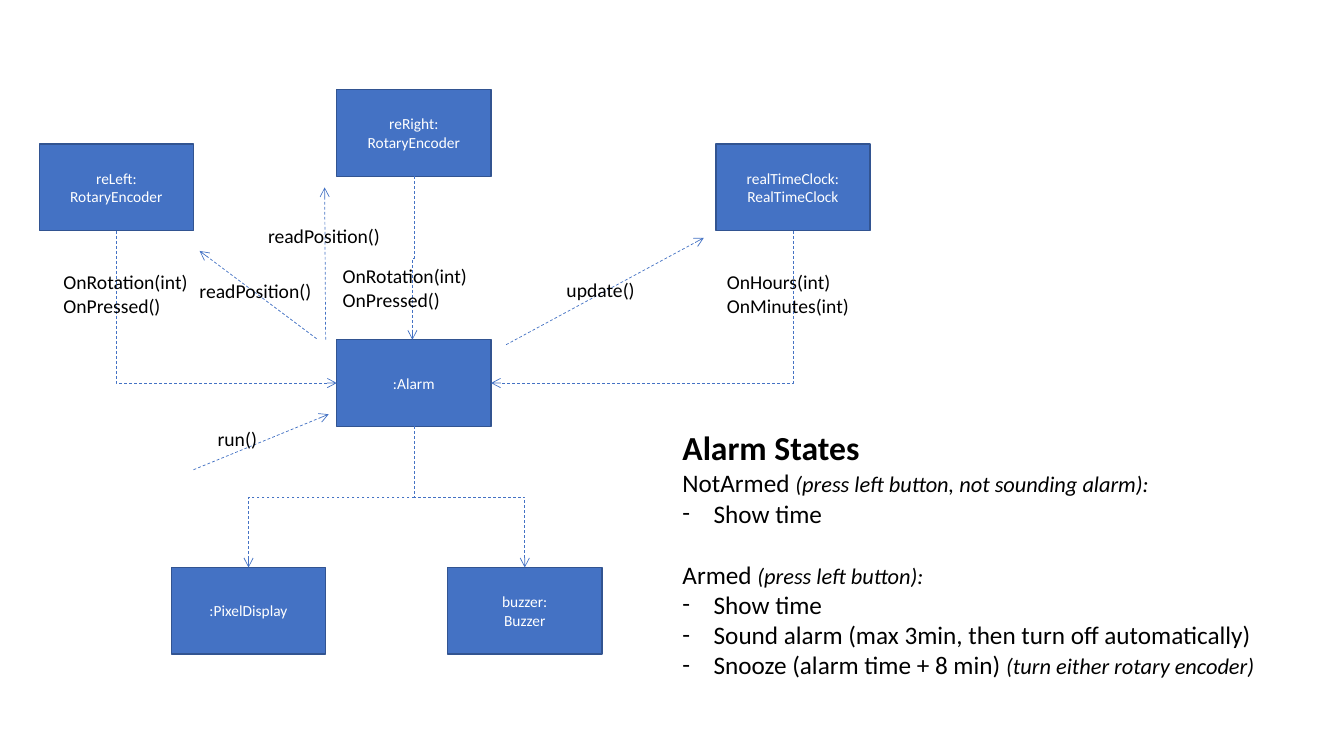
"""Build the alarm clock object diagram with its list of alarm states."""
from dataclasses import dataclass

from lxml import etree
from pptx import Presentation
from pptx.dml.color import RGBColor
from pptx.enum import dml, shapes, text
from pptx.oxml import ns
from pptx.util import Inches, Pt


@dataclass(frozen=True)
class Theme:
    font: str = "Calibri"
    fill: str = "4472C4"
    edge: str = "325491"
    light: str = "FFFFFF"
    dark: str = "000000"
    box_size: int = 11
    label_size: int = 14
    heading_size: int = 24
    body_size: int = 18
    note_size: int = 16


THEME = Theme()
BOX_W, BOX_H = 1.53, 0.86
INDENT = 0.31


def add_run(p, content, size, color=THEME.dark, bold=False, italic=False):
    r = p.add_run()
    r.text = content
    r.font.name = THEME.font
    r.font.size = Pt(size)
    r.font.bold = bold
    r.font.italic = italic
    r.font.color.rgb = RGBColor.from_string(color)


def next_paragraph(tf):
    first = tf.paragraphs[0]
    return tf.add_paragraph() if first.runs else first


def add_box(s, x, y, *lines):
    sp = s.shapes.add_shape(shapes.MSO_SHAPE.RECTANGLE,
                            Inches(x), Inches(y), Inches(BOX_W), Inches(BOX_H))
    sp.shadow.inherit = False
    sp.fill.solid()
    sp.fill.fore_color.rgb = RGBColor.from_string(THEME.fill)
    sp.line.color.rgb = RGBColor.from_string(THEME.edge)
    sp.line.width = Pt(1)
    tf = sp.text_frame
    tf.vertical_anchor = text.MSO_ANCHOR.MIDDLE
    for line in lines:
        p = next_paragraph(tf)
        p.alignment = text.PP_ALIGN.CENTER
        add_run(p, line, THEME.box_size, THEME.light)


def add_text_frame(s, x, y, w, h):
    tf = s.shapes.add_textbox(Inches(x), Inches(y), Inches(w), Inches(h)).text_frame
    tf.word_wrap = True
    tf.auto_size = text.MSO_AUTO_SIZE.SHAPE_TO_FIT_TEXT
    return tf


def add_label(s, x, y, *lines):
    tf = add_text_frame(s, x, y, 1.91, 0.11 + 0.23 * len(lines))
    for line in lines:
        add_run(next_paragraph(tf), line, THEME.label_size)


def add_arrow(s, start, end, kind=shapes.MSO_CONNECTOR.STRAIGHT):
    cxn = s.shapes.add_connector(kind, *(Inches(v) for v in (*start, *end)))
    cxn.line.color.rgb = RGBColor.from_string(THEME.fill)
    cxn.line.width = Pt(0.5)
    cxn.line.dash_style = dml.MSO_LINE.DASH
    ln = cxn.line._get_or_add_ln()
    etree.SubElement(ln, ns.qn("a:tailEnd"), type="arrow")
    etree.SubElement(cxn._element.spPr, ns.qn("a:effectLst"))
    return cxn


def add_bent_arrow(s, start, end, preset="bentConnector3"):
    """Draw an elbow arrow that leaves start downwards."""
    (x1, y1), (x2, y2) = start, end
    w, h = abs(y2 - y1), abs(x2 - x1)
    left, top = (x1 + x2 - w) / 2, (y1 + y2 - h) / 2
    cxn = add_arrow(s, (left, top), (left + w, top + h), shapes.MSO_CONNECTOR.ELBOW)
    sp_pr = cxn._element.spPr
    sp_pr.find(ns.qn("a:prstGeom")).set("prst", preset)
    xfrm = sp_pr.find(ns.qn("a:xfrm"))
    if x2 > x1:
        xfrm.set("rot", str(270 * 60000))
        xfrm.set("flipH", "1")
    else:
        xfrm.set("rot", str(90 * 60000))


def add_state(tf, name, note, space=0):
    p = next_paragraph(tf)
    p.space_before = Pt(space)
    add_run(p, name, THEME.body_size)
    add_run(p, note, THEME.note_size, italic=True)


def add_bullet(tf, content, note=""):
    p = next_paragraph(tf)
    p_pr = p._p.get_or_add_pPr()
    p_pr.set("marL", str(Inches(INDENT)))
    p_pr.set("indent", str(-Inches(INDENT)))
    etree.SubElement(p_pr, ns.qn("a:buFont"), typeface=THEME.font)
    etree.SubElement(p_pr, ns.qn("a:buChar"), char="-")
    add_run(p, content, THEME.body_size)
    if note:
        add_run(p, note, THEME.note_size, italic=True)


def add_states(s):
    tf = add_text_frame(s, 6.67, 4.19, 6.38, 3.23)
    add_run(next_paragraph(tf), "Alarm States", THEME.heading_size, bold=True)
    add_state(tf, "NotArmed ", "(press left button, not sounding alarm):")
    add_bullet(tf, "Show time")
    add_state(tf, "Armed ", "(press left button):", space=22)
    add_bullet(tf, "Show time")
    add_bullet(tf, "Sound alarm (max 3min, then turn off automatically)")
    add_bullet(tf, "Snooze (alarm time + 8 min) ", "(turn either rotary encoder)")


def bottom(box):
    return box[0] + BOX_W / 2, box[1] + BOX_H


def top(box):
    return box[0] + BOX_W / 2, box[1]


def main():
    prs = Presentation()
    prs.slide_width, prs.slide_height = Inches(13.33), Inches(7.5)
    s = prs.slides.add_slide(prs.slide_layouts[6])

    left, right, clock = (0.39, 1.43), (3.34, 0.89), (7.1, 1.43)
    alarm, buzzer, display = (3.34, 3.37), (4.44, 5.63), (1.7, 5.63)
    add_box(s, *left, "reLeft:", "RotaryEncoder")
    add_box(s, *right, "reRight:", "RotaryEncoder")
    add_box(s, *clock, "realTimeClock:", "RealTimeClock")
    add_box(s, *buzzer, "buzzer:", "Buzzer")
    add_box(s, *display, ":PixelDisplay")
    add_box(s, *alarm, ":Alarm")

    alarm_mid = alarm[1] + BOX_H / 2
    add_bent_arrow(s, bottom(left), (alarm[0], alarm_mid), "bentConnector2")
    add_bent_arrow(s, bottom(right), (4.09, alarm[1]))
    add_bent_arrow(s, bottom(clock), (alarm[0] + BOX_W, alarm_mid), "bentConnector2")
    for target in (display, buzzer):
        add_bent_arrow(s, bottom(alarm), top(target))

    for start, end in (((5.02, 3.42), (6.98, 2.36)), ((3.23, 3.37), (3.22, 1.86)),
                       ((3.14, 3.36), (1.98, 2.49)), ((1.92, 4.66), (3.26, 4.11))):
        add_arrow(s, start, end)

    add_label(s, 0.53, 2.63, "OnRotation(int)", "OnPressed()")
    add_label(s, 3.3, 2.57, "OnRotation(int)", "OnPressed()")
    add_label(s, 7.11, 2.63, "OnHours(int)", "OnMinutes(int)")
    add_label(s, 5.52, 2.71, "update()")
    add_label(s, 1.88, 2.72, "readPosition()")
    add_label(s, 2.56, 2.17, "readPosition()")
    add_label(s, 2.06, 4.19, "run()")
    add_states(s)
    prs.save("out.pptx")


if __name__ == "__main__":
    main()
